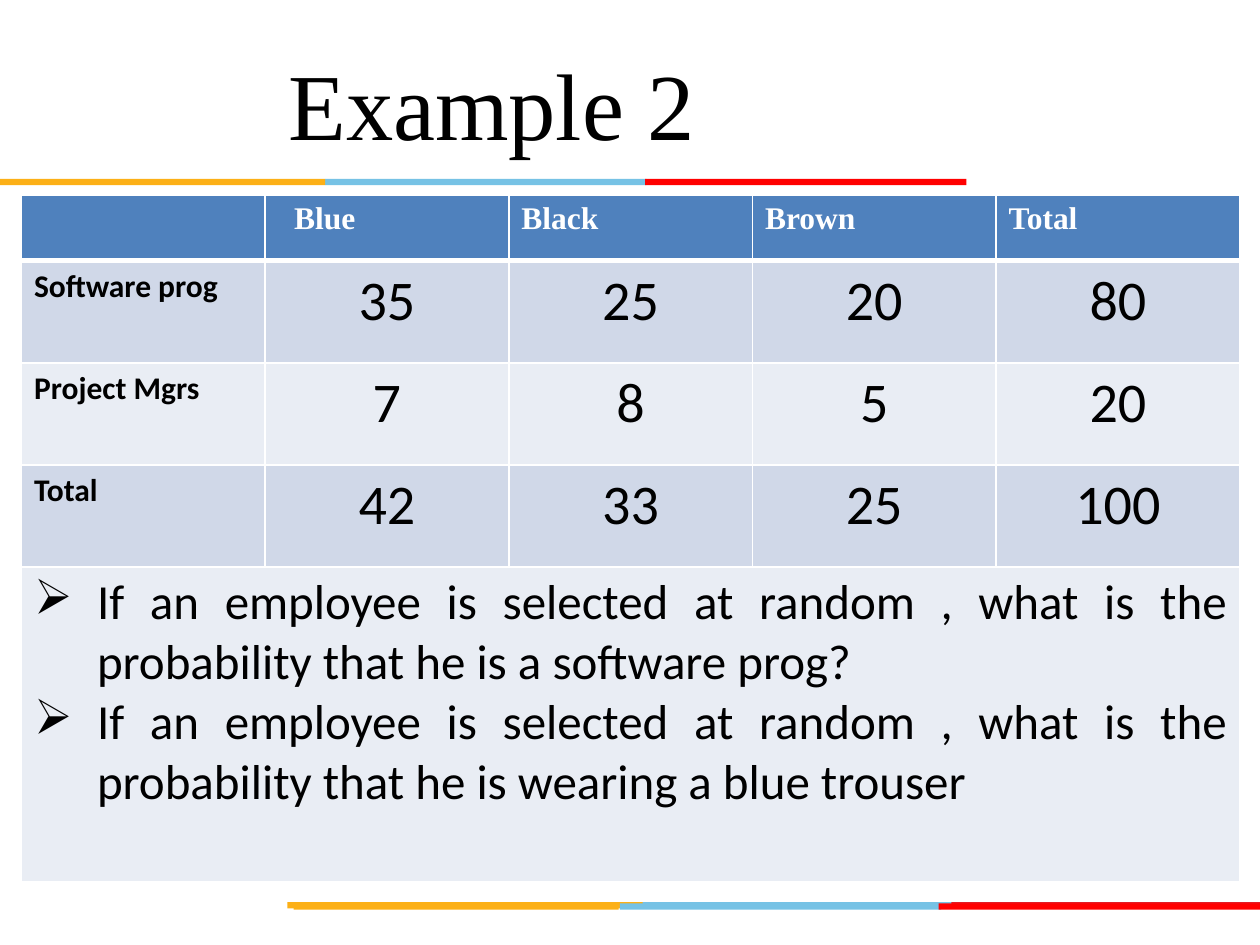
from lxml import etree
from pptx import Presentation
from pptx.dml.color import RGBColor
from pptx.enum.shapes import MSO_SHAPE
from pptx.enum.text import MSO_ANCHOR, PP_ALIGN
from pptx.oxml.ns import qn
from pptx.util import Inches, Pt

RECT = MSO_SHAPE.RECTANGLE
MIDDLE, TOP = MSO_ANCHOR.MIDDLE, MSO_ANCHOR.TOP
LEFT, CENTER, JUSTIFY = PP_ALIGN.LEFT, PP_ALIGN.CENTER, PP_ALIGN.JUSTIFY
SERIF, SANS = "Times New Roman", "Calibri"
COLORS = {
    "gold": "FCB017", "sky": "76C2E5", "crimson": "E31C24", "red": "FF0000",
    "head": "4F81BD", "dark": "D0D8E8", "light": "E9EDF4",
    "white": "FFFFFF", "black": "000000",
}


def add_run(para, text, size, font, color, bold=False):
    run = para.add_run()
    run.text = text
    run.font.size = Pt(size)
    run.font.name = font
    run.font.bold = bold
    run.font.color.rgb = RGBColor.from_string(COLORS[color])


def set_cell(cell, fill, top, bottom):
    cell.fill.solid()
    cell.fill.fore_color.rgb = RGBColor.from_string(COLORS[fill])
    props = cell._tc.get_or_add_tcPr()
    edges = (("a:lnL", 1), ("a:lnR", 1), ("a:lnT", top), ("a:lnB", bottom))
    for i, (tag, width) in enumerate(edges):
        line = etree.Element(qn(tag), w=str(Pt(width)))
        solid = etree.SubElement(line, qn("a:solidFill"))
        etree.SubElement(solid, qn("a:srgbClr"), val=COLORS["white"])
        props.insert(i, line)


prs = Presentation()
prs.slide_width, prs.slide_height = Inches(10), Inches(7.5)
slide = prs.slides.add_slide(prs.slide_layouts[5])

# Coloured bars: left, top, width, colour
bars = [
    (5.06, 7.16, 2.55, "sky"), (7.55, 7.16, 2.45, "crimson"),
    (2.28, 7.16, 2.82, "gold"),
    (4.92, 7.17, 2.55, "sky"), (2.33, 7.17, 2.58, "gold"),
    (7.45, 7.17, 2.55, "red"),
    (2.58, 1.42, 2.55, "sky"), (0, 1.42, 2.58, "gold"),
    (5.12, 1.42, 2.55, "red"),
]
for left, top, width, color in bars:
    bar = slide.shapes.add_shape(
        RECT, Inches(left), Inches(top), Inches(width), Inches(0.05))
    bar.shadow.inherit = False
    bar.fill.solid()
    bar.fill.fore_color.rgb = RGBColor.from_string(COLORS[color])
    bar.line.fill.background()

# Title
title = slide.shapes.title
title.left, title.top = Inches(0.5), Inches(0.3)
title.width, title.height = Inches(5.83), Inches(1.03)
frame = title.text_frame
frame.vertical_anchor = MIDDLE
frame.margin_left = Inches(1.79)
para = frame.paragraphs[0]
para.alignment = LEFT
add_run(para, "Example 2", 54, SERIF, "black")

# Table grid
rows = [
    ["", "Blue", "Black", "Brown", "Total"],
    ["Software prog", "35", "25", "20", "80"],
    ["Project Mgrs", "7", "8", "5", "20"],
    ["Total", "42", "33", "25", "100"],
]
heights = [0.52, 0.81, 0.81, 0.81, 2.5]
fills = ["head", "dark", "light", "dark", "light"]
table = slide.shapes.add_table(
    5, 5, Inches(0.17), Inches(1.55), Inches(9.67), Inches(5.45)).table
for col in table.columns:
    col.width = Inches(9.67 / 5)
for r, (height, fill) in enumerate(zip(heights, fills)):
    table.rows[r].height = Inches(height)
    for cell in table.rows[r].cells:
        set_cell(cell, fill, 3 if r == 1 else 1, 3 if r == 0 else 1)
        cell.vertical_anchor = TOP

# Headings and counts
for r, row in enumerate(rows):
    for c, text in enumerate(row):
        if not text:
            continue
        para = table.cell(r, c).text_frame.paragraphs[0]
        if r == 0:
            add_run(para, text, 18, SERIF, "white", True)
        elif c == 0:
            add_run(para, text, 18, SANS, "black", True)
        else:
            para.alignment = CENTER
            add_run(para, text, 32, SANS, "black")
table.cell(0, 1).margin_left = Inches(0.23)

# Questions across the last row
asks = [
    "If an employee is selected at random , what is the probability "
    "that he is a software prog?",
    "If an employee is selected at random , what is the probability "
    "that he is wearing a blue trouser",
]
box = table.cell(4, 0)
box.merge(table.cell(4, 4))
frame = box.text_frame
for i, ask in enumerate(asks):
    para = frame.add_paragraph() if i else frame.paragraphs[0]
    para.alignment = JUSTIFY
    props = para._p.get_or_add_pPr()
    props.set("marL", str(Inches(0.5)))
    props.set("indent", str(-Inches(0.5)))
    etree.SubElement(props, qn("a:buChar"), char="➢")
    add_run(para, ask, 28, SANS, "black")

prs.save("out.pptx")
